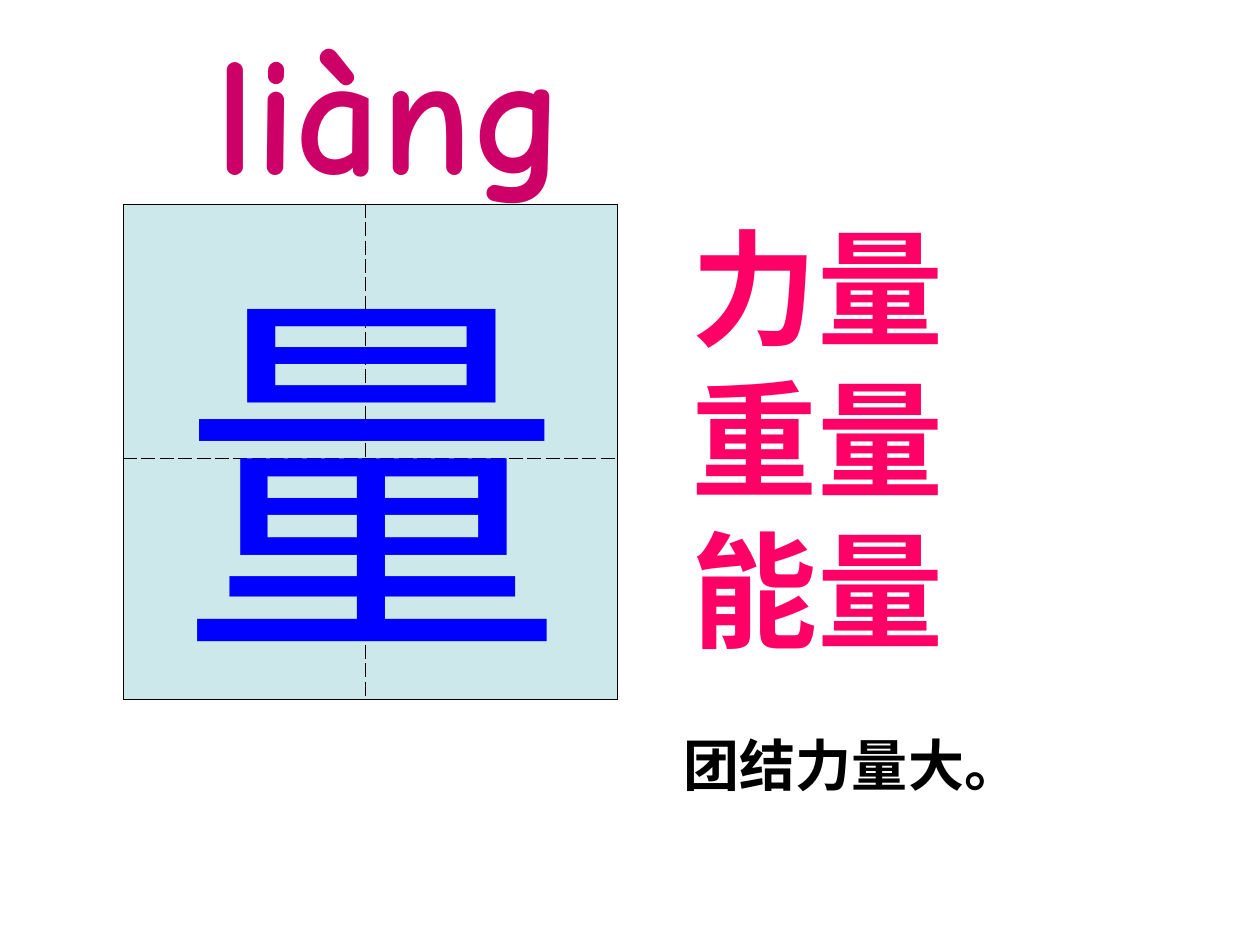
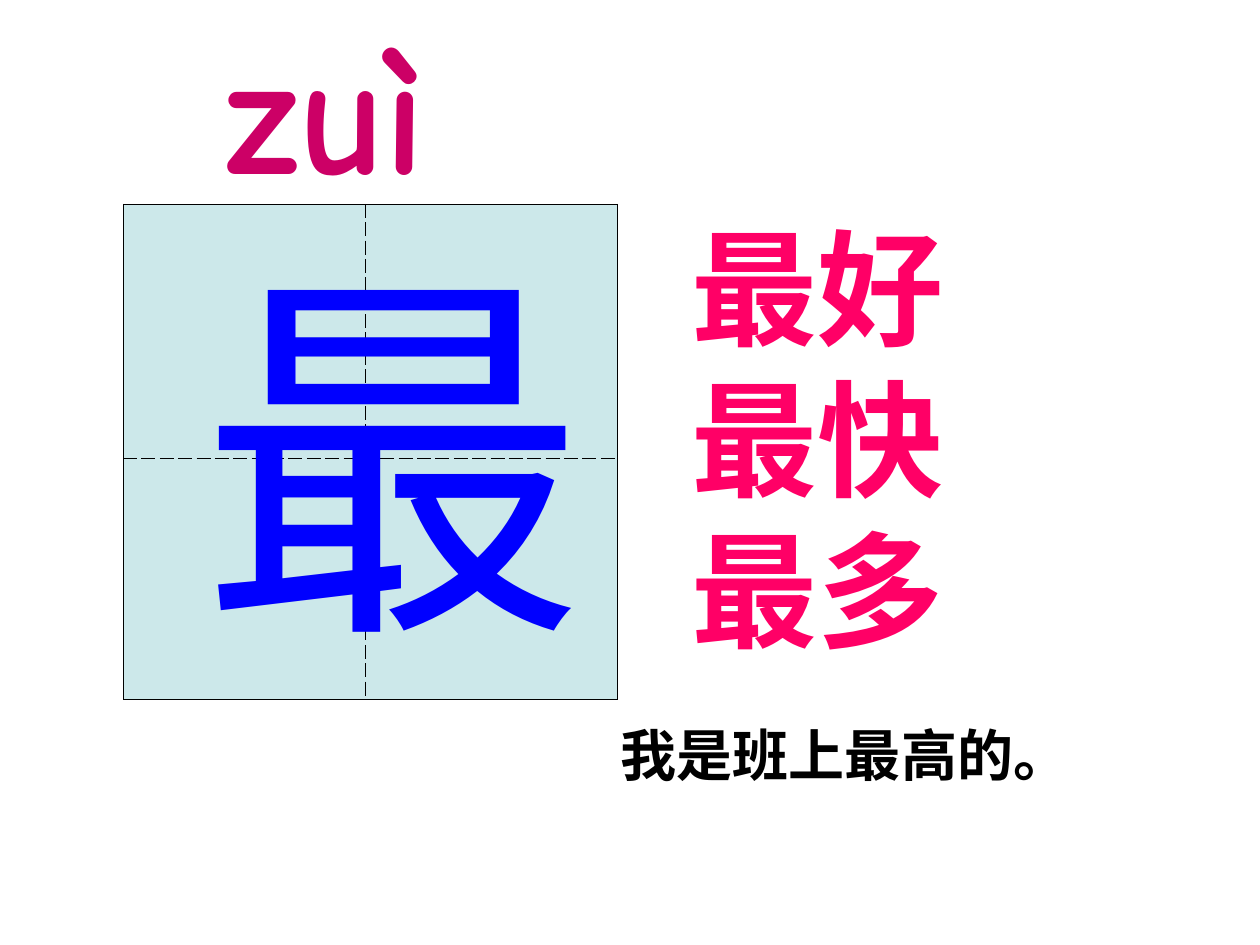
from lxml import etree
from pptx import Presentation
from pptx.dml.color import RGBColor
from pptx.enum.text import MSO_ANCHOR, MSO_AUTO_SIZE, PP_ALIGN
from pptx.oxml.ns import qn
from pptx.util import Inches, Pt

CHARACTERS = [
    {
        "pinyin": ("liàng", (1.61, 0, 4.3, 1.7)),
        "character": ("量", (1.33, 1.82, 3.25, 3.77)),
        "words": ["力量", "重量", "能量"],
        "sentence": ("团结力量大。", (5.33, 5.75, 3.91, 0.64)),
    },
    {
        "pinyin": ("zuì", (1.7, 0, 4.3, 1.7)),
        "character": ("最", (1.49, 1.67, 3.25, 3.77)),
        "words": ["最好", "最快", "最多"],
        "sentence": ("我是班上最高的。", (4.83, 5.67, 4.16, 0.64)),
    },
]

WORDS_BOX = (5.39, 1.62, 4.25, 3.7)
GRID_LEFT, GRID_TOP = 0.98, 1.62
GRID_COLUMNS = (1.92, 2)
GRID_ROWS = (2.02, 1.91)

PINYIN_PINK = RGBColor(0xCC, 0x00, 0x66)
CHARACTER_BLUE = RGBColor(0x00, 0x00, 0xFF)
WORD_PINK = RGBColor(0xFF, 0x00, 0x66)
BLACK = RGBColor(0x00, 0x00, 0x00)
GRID_FILL = RGBColor(0xCC, 0xE8, 0xEA)
BODY_FONT = "Arial"
PINYIN_FONT = "Comic Neue"
TOP = MSO_ANCHOR.TOP
NO_FIT = MSO_AUTO_SIZE.NONE
LEFT = PP_ALIGN.LEFT


def place(shape, box):
    shape.left, shape.top, shape.width, shape.height = map(Inches, box)


def write(shape, lines, size, color, font=BODY_FONT, bold=True, wrap=True):
    frame = shape.text_frame
    frame.word_wrap = wrap
    frame.auto_size = NO_FIT
    frame.vertical_anchor = TOP
    for index, line in enumerate(lines):
        paragraph = frame.add_paragraph() if index else frame.paragraphs[0]
        paragraph.alignment = LEFT
        paragraph.space_before = Pt(0)
        properties = paragraph._p.get_or_add_pPr()
        properties.set("marL", "0")
        properties.set("indent", "0")
        etree.SubElement(properties, qn("a:buNone"))
        run = paragraph.add_run()
        run.text = line
        run.font.name = font
        run.font.size = Pt(size)
        run.font.bold = bold
        run.font.color.rgb = color


def add_text(slide, text, box, size, color, **style):
    shape = slide.shapes.add_textbox(*map(Inches, box))
    write(shape, [text], size, color, **style)


def set_borders(cell, dashes):
    properties = cell._tc.get_or_add_tcPr()
    for index, (side, dash) in enumerate(dashes.items()):
        line = etree.Element(qn(f"a:ln{side}"), w=str(Pt(0.45)))
        fill = etree.SubElement(line, qn("a:solidFill"))
        etree.SubElement(fill, qn("a:srgbClr"), val=str(BLACK))
        etree.SubElement(line, qn("a:prstDash"), val=dash)
        properties.insert(index, line)


def add_writing_grid(slide):
    size = (sum(GRID_COLUMNS), sum(GRID_ROWS))
    table = slide.shapes.add_table(
        len(GRID_ROWS), len(GRID_COLUMNS),
        *map(Inches, (GRID_LEFT, GRID_TOP, *size))).table
    table.first_row = False
    table.horz_banding = False
    for column, width in zip(table.columns, GRID_COLUMNS):
        column.width = Inches(width)
    for row, height in zip(table.rows, GRID_ROWS):
        row.height = Inches(height)
    for row in range(len(GRID_ROWS)):
        for column in range(len(GRID_COLUMNS)):
            cell = table.cell(row, column)
            cell.fill.solid()
            cell.fill.fore_color.rgb = GRID_FILL
            outer = {
                "L": column == 0,
                "R": column == len(GRID_COLUMNS) - 1,
                "T": row == 0,
                "B": row == len(GRID_ROWS) - 1,
            }
            set_borders(cell, {side: "solid" if edge else "dash"
                               for side, edge in outer.items()})


def add_character_slide(presentation, content):
    slide = presentation.slides.add_slide(presentation.slide_layouts[1])
    add_writing_grid(slide)

    pinyin, pinyin_box = content["pinyin"]
    title = slide.shapes.title
    place(title, pinyin_box)
    write(title, [pinyin], 96, PINYIN_PINK, font=PINYIN_FONT)

    words = slide.placeholders[1]
    place(words, WORDS_BOX)
    write(words, content["words"], 72, WORD_PINK)

    add_text(slide, *content["character"], 220, CHARACTER_BLUE, bold=False, wrap=False)
    add_text(slide, *content["sentence"], 32, BLACK)


def main():
    presentation = Presentation()
    presentation.slide_width = Inches(10)
    presentation.slide_height = Inches(7.5)
    for content in CHARACTERS:
        add_character_slide(presentation, content)
    presentation.save("out.pptx")


if __name__ == "__main__":
    main()
